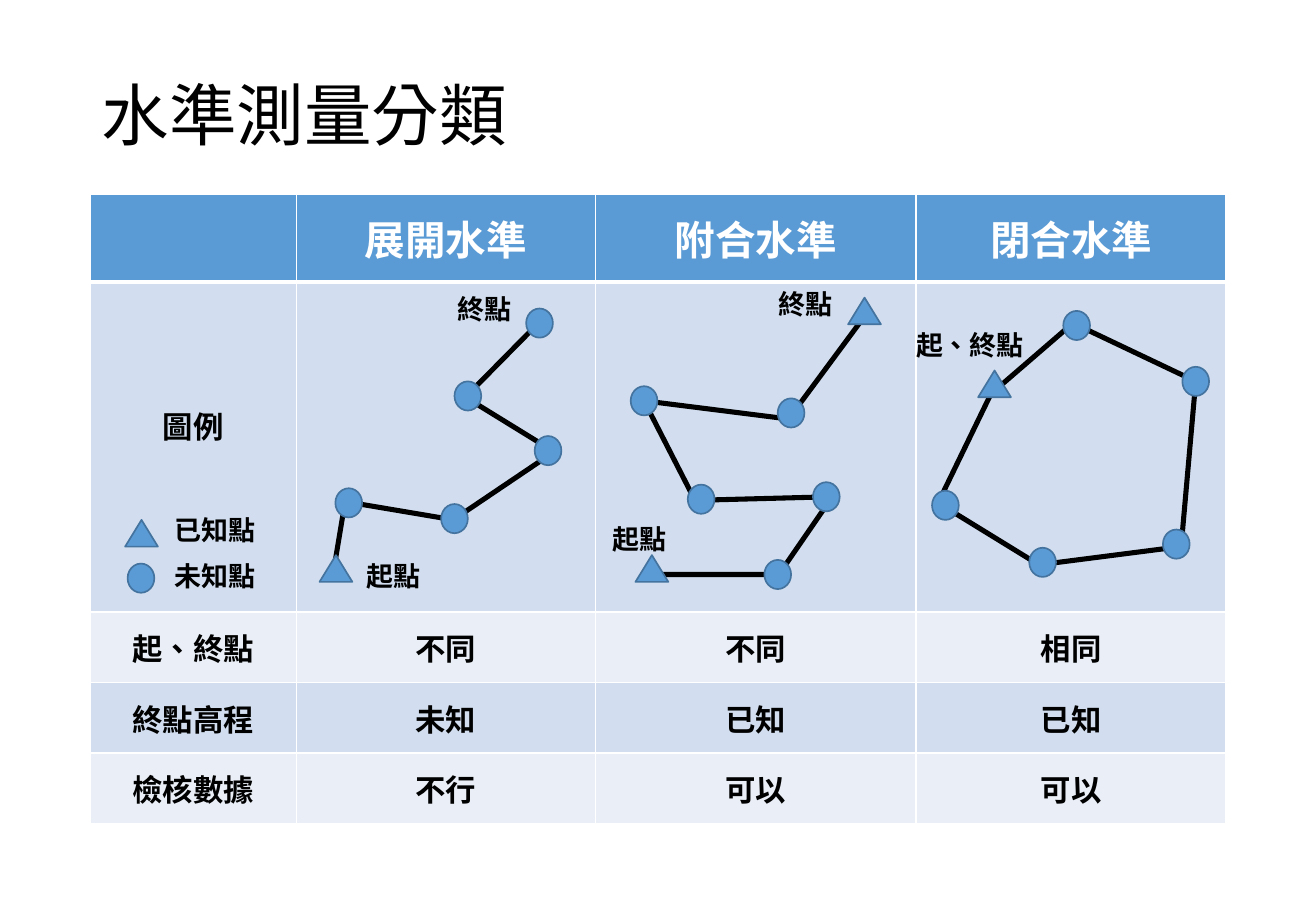
from dataclasses import dataclass

from lxml import etree
from pptx import Presentation
from pptx import util as u
from pptx.dml.color import RGBColor
from pptx.enum import lang, shapes, text
from pptx.oxml import ns

Point = tuple[float, float]


@dataclass(frozen=True)
class Theme:
    blue: str = "5B9BD5"
    outline: str = "43739E"
    band_dark: str = "D2DEEF"
    band_light: str = "EAEFF7"
    white: str = "FFFFFF"
    black: str = "000000"
    title_size: int = 40
    header_size: int = 24
    body_size: int = 18
    label_size: int = 16
    east_asian: str = "Noto Sans CJK SC"
    latin: str = "Calibri"


@dataclass(frozen=True)
class Label:
    lines: tuple[str, ...]
    left: float
    top: float
    width: float = 1.84
    height: float = 0.4


@dataclass(frozen=True)
class Survey:
    route: tuple[Point, ...]
    known: tuple[Point, ...]
    unknown: tuple[Point, ...]
    labels: tuple[Label, ...]


THEME = Theme()
TRIANGLE, ELLIPSE = shapes.MSO_SHAPE.ISOSCELES_TRIANGLE, shapes.MSO_SHAPE.OVAL
MARK_SIZES = {TRIANGLE: (0.27, 0.22), ELLIPSE: (0.22, 0.24)}
COLUMNS = (1.7, 2.46, 2.64, 2.55)
ROWS = (0.72, 2.72, 0.58, 0.58, 0.58)
COMPARISON = (
    ("", "展開水準", "附合水準", "閉合水準"),
    ("圖例", "", "", ""),
    ("起、終點", "不同", "不同", "相同"),
    ("終點高程", "未知", "已知", "已知"),
    ("檢核數據", "不行", "可以", "可以"),
)
SURVEYS = (
    Survey(
        route=((2.74, 4.73), (2.84, 4.13), (3.73, 4.28), (4.56, 3.72), (3.83, 3.27), (4.49, 2.6)),
        known=((2.63, 4.57),),
        unknown=((2.76, 4.02), (3.63, 4.15), (4.4, 3.59), (3.74, 3.14), (4.33, 2.54)),
        labels=(Label(("終點",), 3.67, 2.39), Label(("起點",), 2.92, 4.59)),
    ),
    Survey(
        route=((5.41, 4.73), (6.41, 4.73), (6.85, 4.09), (5.72, 4.12), (5.3, 3.3),
               (6.49, 3.45), (7.14, 2.57)),
        known=((5.23, 4.57), (6.98, 2.45)),
        unknown=((6.29, 4.61), (6.69, 3.97), (5.66, 3.99), (5.19, 3.18), (6.4, 3.28)),
        labels=(Label(("終點",), 6.31, 2.35), Label(("起點",), 4.94, 4.28)),
    ),
    Survey(
        route=((8.17, 3.23), (8.83, 2.66), (9.84, 3.14), (9.72, 4.5), (8.55, 4.65),
               (7.72, 4.14), (8.2, 3.15)),
        known=((8.05, 3.05),),
        unknown=((8.75, 2.56), (9.73, 3.02), (9.57, 4.36), (8.47, 4.51), (7.67, 4.04)),
        labels=(Label(("起、終點",), 7.44, 2.69),),
    ),
)
LEGEND = Label(("已知點", "未知點"), 1.34, 4.21, height=0.96)
TITLE = Label(("水準測量分類",), 0.74, 0.25, 9.34, 1.45)


def rgb(color: str) -> RGBColor:
    return RGBColor.from_string(color)


def apply(target, formats: dict) -> None:
    for name, value in formats.items():
        setattr(target, name, value)


def write(paragraph, words: str, size: int, color: str, bold: bool, latin: str) -> None:
    run = paragraph.add_run()
    run.text = words
    apply(run.font, {"size": u.Pt(size), "bold": bold, "name": latin,
                     "language_id": lang.MSO_LANGUAGE_ID.TRADITIONAL_CHINESE})
    run.font.color.rgb = rgb(color)
    etree.SubElement(run.font._element, ns.qn("a:ea"), typeface=THEME.east_asian)


def add_label(slide, label: Label, size: int, bold: bool, latin: str,
              before: int, anchor: text.MSO_ANCHOR) -> None:
    box = slide.shapes.add_textbox(*map(u.Inches, (label.left, label.top, label.width, label.height)))
    frame = box.text_frame
    apply(frame, {"word_wrap": True, "vertical_anchor": anchor})
    for index, line in enumerate(label.lines):
        paragraph = frame.add_paragraph() if index else frame.paragraphs[0]
        apply(paragraph, {"line_spacing": 0.9, "space_before": u.Pt(before)})
        write(paragraph, line, size, THEME.black, bold, latin)


def add_borders(cell, bottom: int) -> None:
    properties = cell._tc.get_or_add_tcPr()
    for index, (side, points) in enumerate({"L": 1, "R": 1, "T": 1, "B": bottom}.items()):
        border = etree.Element(ns.qn(f"a:ln{side}"), w=str(u.Pt(points)))
        fill = etree.SubElement(border, ns.qn("a:solidFill"))
        etree.SubElement(fill, ns.qn("a:srgbClr"), val=THEME.white)
        properties.insert(index, border)


def add_comparison(slide) -> None:
    frame = slide.shapes.add_table(len(ROWS), len(COLUMNS), u.Inches(0.74), u.Inches(1.6),
                                   u.Inches(sum(COLUMNS)), u.Inches(sum(ROWS)))
    table = frame.table
    for column, width in zip(table.columns, COLUMNS):
        column.width = u.Inches(width)
    for row, height in zip(table.rows, ROWS):
        row.height = u.Inches(height)
    for r, entries in enumerate(COMPARISON):
        header = r == 0
        band = THEME.blue if header else (THEME.band_light, THEME.band_dark)[r % 2]
        size = THEME.header_size if header else THEME.body_size
        color = THEME.white if header else THEME.black
        for c, entry in enumerate(entries):
            cell = table.cell(r, c)
            cell.vertical_anchor = text.MSO_ANCHOR.MIDDLE
            cell.fill.solid()
            cell.fill.fore_color.rgb = rgb(band)
            add_borders(cell, 3 if header else 1)
            if entry:
                paragraph = cell.text_frame.paragraphs[0]
                paragraph.alignment = text.PP_ALIGN.CENTER
                write(paragraph, entry, size, color, True, THEME.east_asian)
    table.cell(1, 0).margin_bottom = u.Inches(0.4)


def add_route(slide, vertices: tuple[Point, ...]) -> None:
    start, *rest = [(u.Inches(x), u.Inches(y)) for x, y in vertices]
    builder = slide.shapes.build_freeform(*start)
    builder.add_line_segments(rest, close=False)
    route = builder.convert_to_shape()
    route.shadow.inherit = False
    route.fill.background()
    route.line.color.rgb = rgb(THEME.black)
    route.line.width = u.Pt(3)


def add_mark(slide, kind: shapes.MSO_SHAPE, corner: Point) -> None:
    mark = slide.shapes.add_shape(kind, *map(u.Inches, corner + MARK_SIZES[kind]))
    mark.shadow.inherit = False
    mark.fill.solid()
    mark.fill.fore_color.rgb = rgb(THEME.blue)
    mark.line.color.rgb = rgb(THEME.outline)
    mark.line.width = u.Pt(1)


def main() -> None:
    deck = Presentation()
    apply(deck, {"slide_width": u.Inches(10.83), "slide_height": u.Inches(7.5)})
    slide = deck.slides.add_slide(deck.slide_layouts[6])
    add_label(slide, TITLE, THEME.title_size, False, THEME.east_asian, 0, text.MSO_ANCHOR.MIDDLE)
    add_comparison(slide)
    for survey in SURVEYS:
        add_route(slide, survey.route)
    known = [(1.03, 4.28), *(corner for survey in SURVEYS for corner in survey.known)]
    unknown = [(1.05, 4.64), *(corner for survey in SURVEYS for corner in survey.unknown)]
    for kind, corners in ((TRIANGLE, known), (ELLIPSE, unknown)):
        for corner in corners:
            add_mark(slide, kind, corner)
    for label in (LEGEND, *(label for survey in SURVEYS for label in survey.labels)):
        add_label(slide, label, THEME.label_size, True, THEME.latin, 10, text.MSO_ANCHOR.TOP)
    deck.save("out.pptx")


if __name__ == "__main__":
    main()
